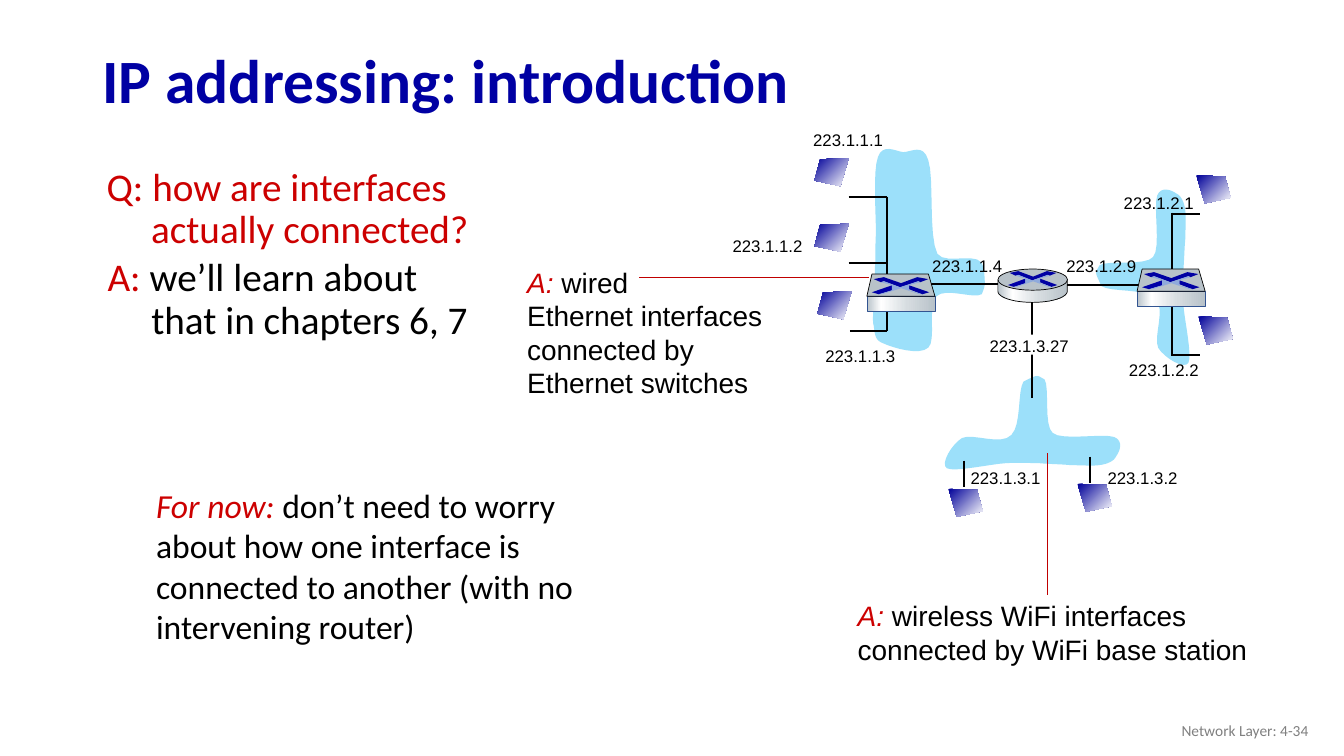
from copy import deepcopy
from math import cos, pi, sin

from lxml import etree
from pptx import Presentation
from pptx.dml.color import RGBColor
from pptx.enum.shapes import MSO_CONNECTOR, MSO_SHAPE
from pptx.enum.text import MSO_ANCHOR, PP_ALIGN
from pptx.oxml.ns import qn
from pptx.util import Pt

LINE = MSO_CONNECTOR.STRAIGHT
RECT, OVAL = MSO_SHAPE.RECTANGLE, MSO_SHAPE.OVAL
TOP, MIDDLE = MSO_ANCHOR.TOP, MSO_ANCHOR.MIDDLE
LEFT, RIGHT = PP_ALIGN.LEFT, PP_ALIGN.RIGHT
NAVY, RED, BLACK, STEEL, SKY = "0000A3", "CC0000", "000000", "B8C2C9", "9CE0FA"
METAL = [(0, STEEL), (0.21, "FFFFFF"), (0.6, "D6DCE0"), (1, STEEL)]
SCREEN = [(0, "000099"), (1, "FFFFFF")]
hue = RGBColor.from_string

deck = Presentation()
deck.slide_width, deck.slide_height = Pt(960), Pt(540)
slide = deck.slides.add_slide(deck.slide_layouts[6])
shapes = slide.shapes


def paint(shape, fill, edge=None, angle=0):
    """Fill with a hex colour or a list of gradient stops; edge is a hex colour."""
    shape.shadow.inherit = False
    if isinstance(fill, str):
        shape.fill.solid()
        shape.fill.fore_color.rgb = hue(fill)
    else:
        shape.fill.gradient()
        shape.fill.gradient_angle = angle
        stops = shape._element.spPr.find(".//" + qn("a:gsLst"))
        for _ in fill[2:]:
            stops.append(deepcopy(stops[0]))
        for stop, (place, color) in zip(shape.fill.gradient_stops, fill):
            stop.position = place
            stop.color.rgb = hue(color)
    if edge:
        shape.line.color.rgb = hue(edge)
        shape.line.width = Pt(0.5)
    else:
        shape.line.fill.background()


def outline(points, fill, edge=None, angle=0):
    """Draw a closed polygon."""
    dots = [(Pt(x), Pt(y)) for x, y in points]
    pen = shapes.build_freeform(*dots[0])
    pen.add_line_segments(dots[1:], close=True)
    paint(pen.convert_to_shape(), fill, edge, angle)


# Subnet clouds: chains of cubic curves, each sharing its end with the next
tall = [
    (702.7, 191.5), (701.3, 177.8), (676.1, 190.1), (669.6, 181.4), (663.1, 168.5),
    (667.4, 126.7), (663.1, 114.5), (659.5, 102.2), (650.9, 108.7), (645.1, 108.7),
    (639.4, 108), (630.7, 102.2), (627.1, 112.3), (623.5, 121.7), (625.7, 153.4),
    (625.7, 166.3), (625, 179.3), (625.7, 182.9), (625, 190.8), (625, 198.7),
    (624.2, 205.9), (624.2, 213.1), (624.2, 220.3), (622.8, 228.2), (624.2, 233.3),
    (625, 239), (625, 243.4), (631.4, 245.5), (637.9, 248.4), (656.6, 254.2),
    (663.1, 248.4), (668.9, 243.4), (662.4, 218.2), (668.9, 211.7), (675.4, 205.2),
    (695.5, 213.8), (701.3, 210.2), (703.4, 204.5), (704.2, 205.2), (702.7, 191.5)]
right = [
    (787, 204.5), (793.4, 208.8), (817.9, 205.9), (825.1, 213.1), (833, 220.3),
    (823.7, 240.5), (827.3, 248.4), (831.6, 255.6), (846, 264.2), (848.9, 259.2),
    (851.8, 254.2), (846, 228.2), (845.3, 217.4), (844.6, 206.6), (845.3, 200.9),
    (845.3, 193), (846, 185), (846, 177.8), (846.7, 170.6), (846.7, 163.4),
    (847.4, 155.5), (846.7, 150.5), (846, 144.7), (843.8, 139.7), (840.2, 138.2),
    (837.4, 136.1), (829.4, 132.5), (826.6, 139.7), (823.7, 147.6), (829.4, 177.1),
    (823.7, 183.6), (818.6, 190.1), (790.6, 185.8), (785.5, 189.4), (782.6, 195.1),
    (781.2, 193), (787, 204.5)]
low = [(935.6 - y, x - 514.4) for x, y in right]  # a quarter turn

for cloud in (low, right, tall):
    rim = []
    for i in range(0, len(cloud) - 1, 3):
        for t in (n / 8 for n in range(8)):
            blend = ((1 - t) ** 3, 3 * t * (1 - t) ** 2, 3 * t * t * (1 - t), t ** 3)
            rim.append([sum(b * p[k] for b, p in zip(blend, cloud[i:i + 4]))
                        for k in (0, 1)])
    outline(rim, SKY)

wires = [
    (606.2, 140.4, 633.6, 140.4), (606.2, 187.9, 633.6, 187.9),
    (607, 236.2, 633.6, 236.2), (633.6, 140.4, 633.6, 236.2),
    (837.4, 152.6, 857.5, 152.6), (837.4, 253.4, 857.5, 253.4),
    (837.4, 151.9, 837.4, 254.2), (688.3, 329, 688.3, 347.8),
    (778.3, 326.2, 778.3, 344.9), (737.3, 215.3, 737.3, 284.4),
    (658.8, 203, 721.4, 203), (751.7, 203.8, 828.7, 203.8)]
links = [(*wire, BLACK, 1.5) for wire in wires]
links += [(620.6, 198, 456.5, 198, "C00000", 0.75),
          (748.1, 424.8, 748.1, 323.3, "C00000", 1)]
for *ends, color, width in links:
    link = shapes.add_connector(LINE, *map(Pt, ends))
    link.line.color.rgb = hue(color)
    link.line.width = Pt(width)
    etree.SubElement(link._element.spPr, qn("a:effectLst"))

# White backing that breaks the wire behind 223.1.3.27
paint(shapes.add_shape(RECT, Pt(704.2), Pt(239), Pt(67), Pt(14.4)), "FFFFFF")

# Host screens; those on the left side are mirrored
screen = [(0, 0), (20.5, 0.8), (24.5, 16), (6, 20)]
hosts = [
    (581.8, 113, True), (581.8, 159.8, True), (583.9, 208.1, True),
    (854.6, 125.3, False), (856.1, 226.1, False),
    (769.7, 345.6, False), (677.5, 349.2, False)]
for left, top, flip in hosts:
    outline([(left + (24.5 - x if flip else x), top + y) for x, y in screen],
            SCREEN, angle=315)

# Router body, then the two switch bodies
rim = [(737.6 + 24.8 * cos(n * pi / 24), 208 + 8 * sin(n * pi / 24))
       for n in range(25)]
outline([(762.4, 200.2), *rim, (712.8, 200.2)], METAL, BLACK)
paint(shapes.add_shape(OVAL, Pt(712.8), Pt(192.2), Pt(49.7), Pt(15.1)), STEEL, BLACK)
switches = [(619.2, 195.8), (812.2, 192.2)]
for left, top in switches:
    paint(shapes.add_shape(RECT, Pt(left), Pt(top + 15.8), Pt(48.6), Pt(10.8)),
          METAL, "325491")
    outline([(left, top + 15.8), (left + 3.6, top), (left + 44, top),
             (left + 48.6, top + 15.8)], STEEL, BLACK)

# Crossed arrows on top of every device
arrows = [
    (NAVY, [(32.4, 0), (40.3, 1.4), (34.6, 3.6), (33.1, 2.9), (20.2, 7.2),
            (8.6, 2.9), (6.5, 3.6), (1.4, 1.4), (8.6, 0), (20.9, 4.3)]),
    (NAVY, [(26.6, 5.8), (41, 10.8), (36, 12.2), (26.6, 8.6)]),
    ("0000A8", [(14.4, 5.8), (14.4, 9.4), (5, 12.2), (0, 10.8)]),
    ("8FAADC", [(6.5, 3.6), (8.6, 2.9), (20.2, 7.2), (33.1, 2.9), (34.6, 3.6),
                (26.6, 5.8), (26.6, 9.4), (36, 12.2), (33.8, 12.2), (20.9, 7.9),
                (7.2, 12.2), (5, 12.2), (14.4, 9.4), (14.4, 5.8)])]
marks = [(720, 193.7, 0.86, 0.92)]
marks += [(left + 3.6, top + 2.2, 1, 1) for left, top in switches]
for left, top, wide, high in marks:
    for color, points in arrows:
        outline([(left + x * wide, top + y * high) for x, y in points], color)

labels = [
    ("223.1.1.1", 573.8, 89.3), ("223.1.1.2", 516.2, 164.9),
    ("223.1.1.3", 582.5, 243.4), ("223.1.1.4", 658.8, 179.3),
    ("223.1.2.9", 754.6, 179.3), ("223.1.2.2", 799.2, 253.4),
    ("223.1.2.1", 795.6, 133.9), ("223.1.3.2", 784.1, 330.5),
    ("223.1.3.1", 686.2, 330.5), ("223.1.3.27", 699.8, 236.2)]
for words, left, top in labels:
    box = shapes.add_textbox(Pt(left), Pt(top), Pt(7.2 * len(words)), Pt(21.6))
    box.text_frame.word_wrap = False
    para = box.text_frame.paragraphs[0]
    para.text = words
    para.font.name, para.font.size = "Arial", Pt(12)
    para.font.color.rgb = hue(BLACK)

# Box, font, size, line spacing, hanging indent, anchor, alignment, bold, paragraphs;
# a run is its words, colour and slant
notes = [
    ((66.2, 24.5, 828, 70.6), "Calibri", 44, 0.9, 0, MIDDLE, LEFT, True,
     [[("IP addressing: introduction", NAVY, False)]]),
    ((69.1, 115.9, 275, 132.5), "Calibri", 28, 0.9, 31.7, TOP, LEFT, False,
     [[("Q: how are interfaces actually connected?", RED, False)]]),
    ((69.8, 180.7, 275, 84.2), "Calibri", 28, 0.9, 31.2, TOP, LEFT, False,
     [[("A: ", RED, False),
       ("we’ll learn about that in chapters 6, 7", BLACK, False)]]),
    ((369.4, 185.8, 200.9, 104.4), "Arial", 20, 1, 0, TOP, LEFT, False,
     [[("A: ", RED, True), ("wired", BLACK, False)],
      [("Ethernet interfaces connected by Ethernet switches", BLACK, False)]]),
    ((605.5, 424.1, 328.3, 55.4), "Arial", 20, 1, 0, TOP, LEFT, False,
     [[("A: ", RED, True),
       ("wireless WiFi interfaces connected by WiFi base station", BLACK, False)]]),
    ((104.4, 342.7, 340.6, 123.8), "Calibri", 24, 1, 0, TOP, LEFT, False,
     [[("For now: ", RED, True),
       ("don’t need to worry about how one interface is connected to another "
        "(with no intervening router)", BLACK, False)]]),
    ((725.8, 507.6, 216, 28.8), "Calibri", 11, 1, 0, MIDDLE, RIGHT, False,
     [[("Network Layer: 4-34", "808080", False)]])]
for place, face, size, space, hang, anchor, align, bold, paras in notes:
    frame = shapes.add_textbox(*map(Pt, place)).text_frame
    frame.word_wrap = True
    frame.vertical_anchor = anchor
    for i, runs in enumerate(paras):
        para = frame.add_paragraph() if i else frame.paragraphs[0]
        para.alignment, para.line_spacing = align, space
        if hang:
            props = para._p.get_or_add_pPr()
            props.set("marL", str(Pt(hang)))
            props.set("indent", str(Pt(-hang)))
        para.font.name, para.font.size, para.font.bold = face, Pt(size), bold
        for words, color, slant in runs:
            run = para.add_run()
            run.text = words
            run.font.color.rgb = hue(color)
            run.font.italic = slant

deck.save("out.pptx")
